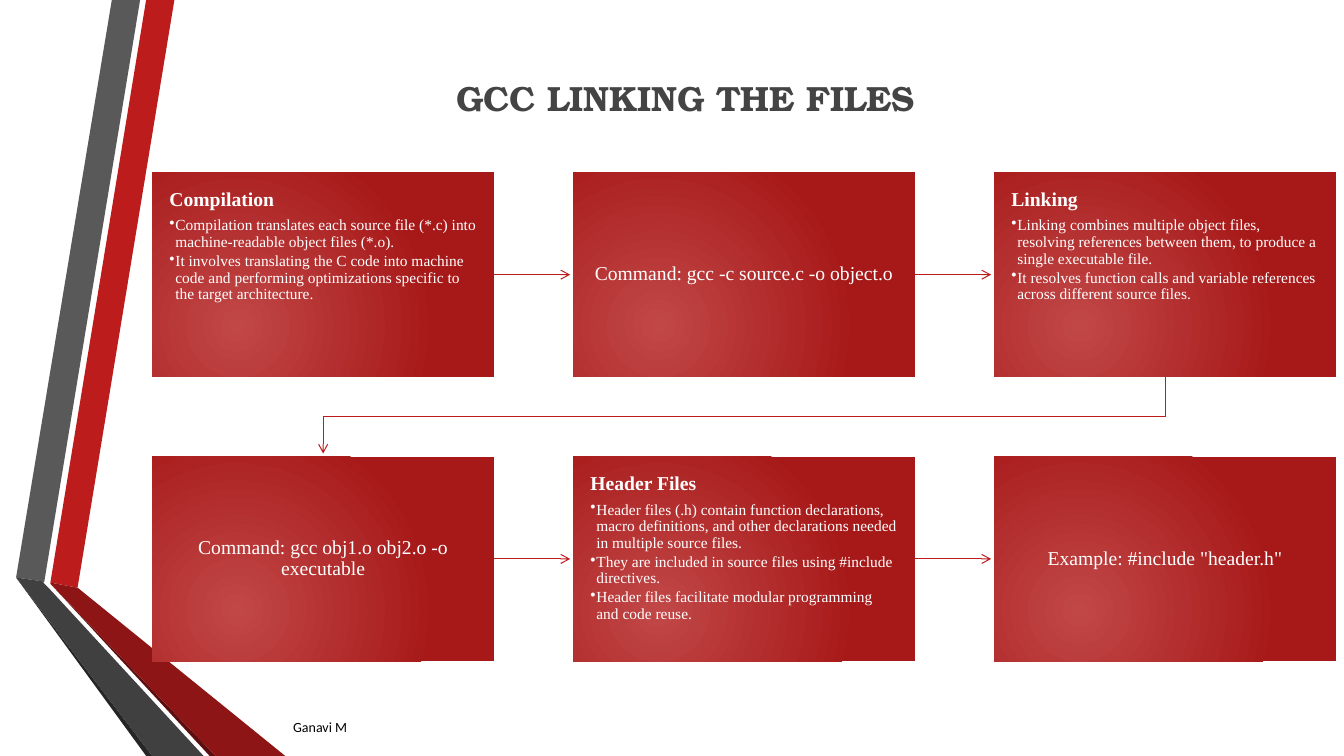
from pptx import Presentation
from pptx.dml.color import RGBColor
from pptx.enum.shapes import MSO_CONNECTOR, MSO_SHAPE
from pptx.enum.text import MSO_ANCHOR, PP_ALIGN
from pptx.oxml.ns import qn
from pptx.util import Inches, Pt
from lxml import etree

RECTANGLE = MSO_SHAPE.RECTANGLE
STRAIGHT = MSO_CONNECTOR.STRAIGHT
TOP, MIDDLE = MSO_ANCHOR.TOP, MSO_ANCHOR.MIDDLE
LEFT, CENTER = PP_ALIGN.LEFT, PP_ALIGN.CENTER

WHITE = RGBColor(0xFF, 0xFF, 0xFF)
BLACK = RGBColor(0x00, 0x00, 0x00)
TITLE_GRAY = RGBColor(0x44, 0x44, 0x44)
RED = RGBColor(0xBC, 0x1C, 0x1C)
CARD_GLOW = RGBColor(0xC1, 0x47, 0x47)
CARD_RED = RGBColor(0xA7, 0x19, 0x19)
FOLD_RED = RGBColor(0x8D, 0x15, 0x15)
DEEP_RED = RGBColor(0x5E, 0x0E, 0x0E)
GRAY = RGBColor(0x59, 0x59, 0x59)
FOLD_GRAY = RGBColor(0x40, 0x40, 0x40)
DEEP_GRAY = RGBColor(0x26, 0x26, 0x26)

TITLE_FONT, BODY_FONT, FOOTER_FONT = "TeX Gyre Bonum", "Times New Roman", "Calibri"

# Card grid, in inches
GRID_LEFT, GRID_TOP = 1.51, 1.71
COLUMN_STEP, ROW_STEP = 4.175, 2.82
CARD_WIDTH, CARD_HEIGHT = 3.39, 2.03
COLUMNS = 3
ARROW_GAP = 0.03
CARD_INSET = 0.17
BULLET_INDENT = 0.06

# Folded ribbons, from back to front
RIBBONS = [
    (RED, [(0.5, 5.78), (0.77, 5.83), (1.73, 0), (1.45, 0)]),
    (GRAY, [(1.39, 0), (1.11, 0), (0.16, 5.73), (0.44, 5.77)]),
    (DEEP_GRAY, [(0.16, 5.73), (1.45, 7.5), (1.51, 7.5)]),
    (DEEP_RED, [(0.5, 5.79), (2.08, 7.5), (2.14, 7.5)]),
    (FOLD_RED, [(0.5, 5.79), (2.14, 7.5), (2.83, 7.5), (0.77, 5.83), (0.5, 5.78)]),
    (FOLD_GRAY, [(2.02, 7.5), (0.48, 5.83), (0.43, 5.78), (0.44, 5.77),
                 (0.16, 5.73), (1.51, 7.5)]),
]

# Each card: heading or command, then its bullets
CARDS = [
    ("Compilation", [
        "Compilation translates each source file (*.c) into machine-readable object files (*.o).",
        "It involves translating the C code into machine code and performing "
        "optimizations specific to the target architecture."]),
    ("Command: gcc -c source.c -o object.o", []),
    ("Linking", [
        "Linking combines multiple object files, resolving references between them, "
        "to produce a single executable file.",
        "It resolves function calls and variable references across different source files."]),
    ("Command: gcc obj1.o obj2.o -o executable", []),
    ("Header Files", [
        "Header files (.h) contain function declarations, macro definitions, and other "
        "declarations needed in multiple source files.",
        "They are included in source files using #include directives.",
        "Header files facilitate modular programming and code reuse."]),
    ('Example: #include "header.h"', []),
]


def card_origin(index):
    row, column = divmod(index, COLUMNS)
    return GRID_LEFT + column * COLUMN_STEP, GRID_TOP + row * ROW_STEP


def add_run(paragraph, text, font_name, size, color, bold=False):
    run = paragraph.add_run()
    run.text = text
    run.font.name = font_name
    run.font.size = Pt(size)
    run.font.bold = bold
    run.font.color.rgb = color


def add_label(slide, box, text, font_name, size, color, bold=False, anchor=TOP):
    shape = slide.shapes.add_textbox(*map(Inches, box))
    frame = shape.text_frame
    frame.word_wrap = True
    frame.vertical_anchor = anchor
    paragraph = frame.paragraphs[0]
    paragraph.space_after = Pt(6)
    add_run(paragraph, text, font_name, size, color, bold)


def add_outline(slide, points, close):
    start, *others = [(Inches(x), Inches(y)) for x, y in points]
    builder = slide.shapes.build_freeform(*start)
    builder.add_line_segments(others, close=close)
    shape = builder.convert_to_shape()
    shape.shadow.inherit = False
    return shape


def add_ribbon(slide, color, points):
    shape = add_outline(slide, points, close=True)
    shape.fill.solid()
    shape.fill.fore_color.rgb = color
    shape.line.fill.background()


def style_arrow(shape):
    shape.line.color.rgb = RED
    shape.line.width = Pt(0.75)
    etree.SubElement(shape.line._get_or_add_ln(), qn("a:tailEnd"), type="arrow")


def add_straight_arrow(slide, index):
    left, top = card_origin(index)
    middle = Inches(top + CARD_HEIGHT / 2)
    connector = slide.shapes.add_connector(
        STRAIGHT, Inches(left + CARD_WIDTH), middle,
        Inches(left + COLUMN_STEP - ARROW_GAP), middle)
    style_arrow(connector)
    etree.SubElement(connector._element.spPr, qn("a:effectLst"))


def add_row_arrow(slide):
    last_left, last_top = card_origin(COLUMNS - 1)
    next_left, next_top = card_origin(COLUMNS)
    start_x, end_x = last_left + CARD_WIDTH / 2, next_left + CARD_WIDTH / 2
    bottom = last_top + CARD_HEIGHT
    bend = (bottom + next_top) / 2
    shape = add_outline(slide, [(start_x, bottom), (start_x, bend), (end_x, bend),
                                (end_x, next_top - ARROW_GAP)], close=False)
    shape.fill.background()
    style_arrow(shape)


def fill_with_glow(shape):
    shape.fill.gradient()
    for stop, color in zip(shape.fill.gradient_stops, (CARD_GLOW, CARD_RED)):
        stop.color.rgb = color
    gradient = shape._element.spPr.find(qn("a:gradFill"))
    gradient.remove(gradient.find(qn("a:lin")))
    circle = etree.SubElement(gradient, qn("a:path"), path="circle")
    etree.SubElement(circle, qn("a:fillToRect"),
                     l="50000", t="100000", r="100000", b="50000")


def add_bullet(frame, text):
    paragraph = frame.add_paragraph()
    paragraph.level = 1
    paragraph.alignment = LEFT
    paragraph.line_spacing = 0.9
    paragraph.space_after = Pt(1.65)
    properties = paragraph._p.get_or_add_pPr()
    properties.set("marL", str(Inches(BULLET_INDENT)))
    properties.set("indent", str(-Inches(BULLET_INDENT)))
    etree.SubElement(properties, qn("a:buChar"), char="•")
    add_run(paragraph, text, BODY_FONT, 11, WHITE)


def add_card(slide, index, heading, bullets):
    left, top = card_origin(index)
    card = slide.shapes.add_shape(RECTANGLE, Inches(left), Inches(top),
                                  Inches(CARD_WIDTH), Inches(CARD_HEIGHT))
    card.shadow.inherit = False
    card.line.fill.background()
    fill_with_glow(card)
    frame = card.text_frame
    frame.word_wrap = True
    frame.margin_left = frame.margin_right = Inches(CARD_INSET)
    frame.margin_top = frame.margin_bottom = Inches(CARD_INSET)
    frame.vertical_anchor = TOP if bullets else MIDDLE
    paragraph = frame.paragraphs[0]
    paragraph.alignment = LEFT if bullets else CENTER
    paragraph.line_spacing = 0.9
    paragraph.space_after = Pt(4.9)
    add_run(paragraph, heading, BODY_FONT, 14, WHITE, bold=bool(bullets))
    for bullet in bullets:
        add_bullet(frame, bullet)


def main():
    presentation = Presentation()
    presentation.slide_width = Inches(13.33)
    presentation.slide_height = Inches(7.5)
    slide = presentation.slides.add_slide(presentation.slide_layouts[6])

    # Side decoration
    for color, points in RIBBONS:
        add_ribbon(slide, color, points)

    # Title and footer
    add_label(slide, (4.43, 0.71, 4.99, 0.52), "GCC LINKING THE FILES",
              TITLE_FONT, 25, TITLE_GRAY, bold=True)
    add_label(slide, (2.81, 7.01, 7.75, 0.4), "Ganavi M",
              FOOTER_FONT, 10, BLACK, anchor=MIDDLE)

    # Flow of cards
    for index, (heading, bullets) in enumerate(CARDS):
        add_card(slide, index, heading, bullets)
        if (index + 1) % COLUMNS:
            add_straight_arrow(slide, index)
    add_row_arrow(slide)

    presentation.save("out.pptx")


if __name__ == "__main__":
    main()
